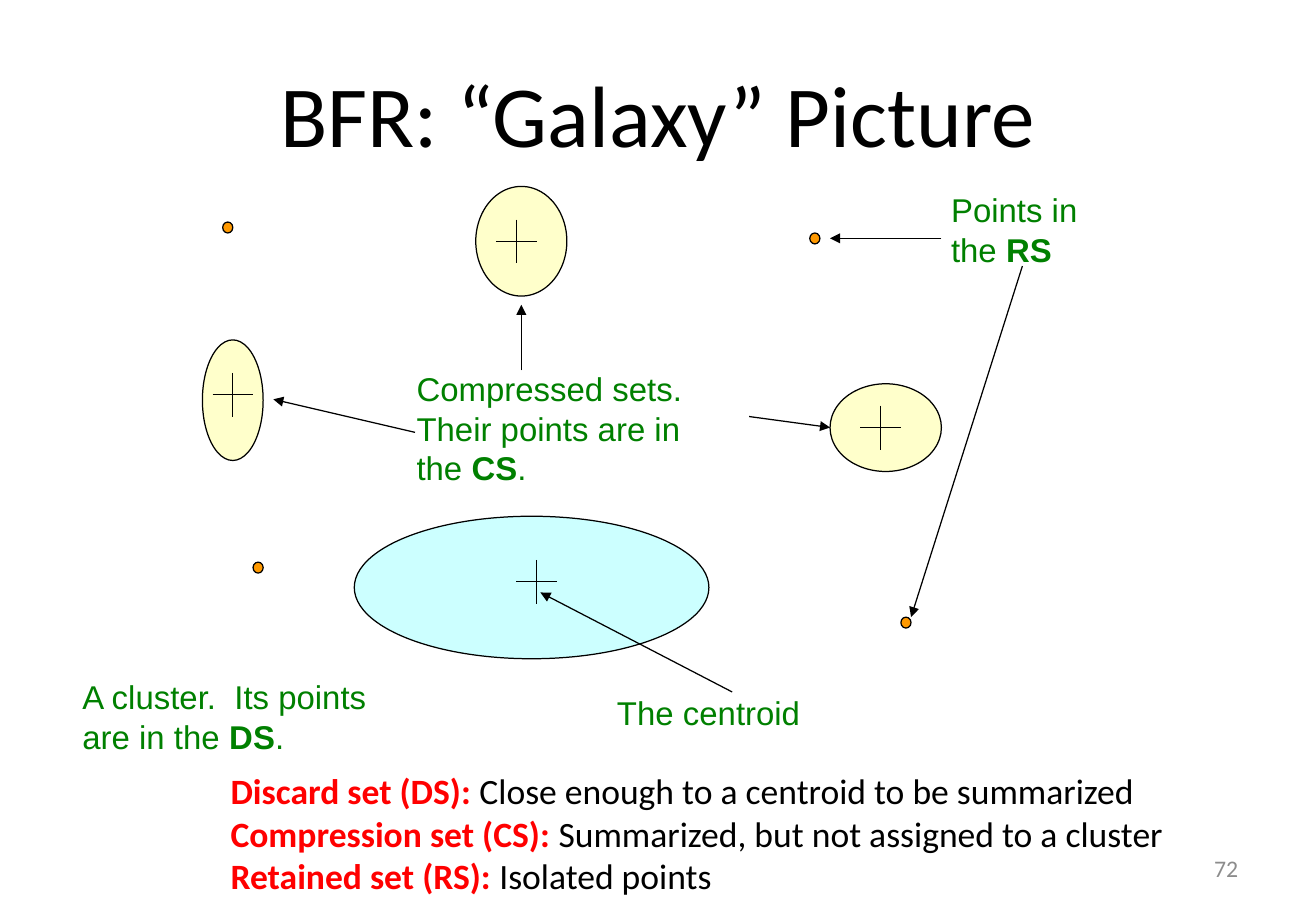
from lxml.etree import SubElement
from pptx import Presentation
from pptx.dml.color import RGBColor
from pptx.enum.shapes import MSO_CONNECTOR, MSO_SHAPE
from pptx.enum.text import MSO_ANCHOR, PP_ALIGN
from pptx.oxml.ns import qn
from pptx.util import Pt

# Content: lines of (text, style) runs; places are in points
TITLE = [[("BFR: “Galaxy” Picture", "title")]]
NUMBER = [[("72", "number")]]
DEFINITIONS = [
    [("Discard set (DS): ", "term"), ("Close enough to a centroid to be summarized", "body")],
    [("Compression set (CS): ", "term"), ("Summarized, but not assigned to a cluster", "body")],
    [("Retained set (RS): ", "term"), ("Isolated points", "body")],
]
LABELS = [  # left, top, width, lines
    (41.8, 397.4, 184.3, [[("A cluster.  Its points", "label")],
                          [("are in the ", "label"), ("DS", "set"), (".", "label")]]),
    (358.6, 406.8, 123.8, [[("The centroid", "label")]]),
    (239.8, 214.6, 173.5, [[("Compressed sets.", "label")], [("Their points are in", "label")],
                           [("the ", "label"), ("CS", "set"), (".", "label")]]),
    (556.6, 108.7, 90, [[("Points in", "label")], [("the ", "label"), ("RS", "set")]]),
]
CLUSTERS = [  # left, top, width, height, fill, cross centre
    (210, 306, 210.2, 84.5, "discard", (318, 344.9)),
    (120, 201.5, 36, 71.5, "compressed", (138, 234)),
    (492, 227.5, 66, 52, "compressed", (522, 253.5)),
    (282, 110.5, 54, 65, "compressed", (306, 143.2)),
]
RETAINED = [(132, 131.6), (150, 333.2), (534, 365.8), (480, 138.1)]
ARROWS = [  # from, to
    ((434, 410.2), (320.3, 351.2)),
    ((246, 256.3), (162, 236.7)),
    ((309, 219.6), (309, 180.7)),
    ((444, 246.9), (492, 253.4)),
    ((558, 141.3), (492, 141.3)),
    ((606, 157.7), (540, 365.8)),
]

# Theme
THEME = {
    "line": "000000", "line_width": 0.75,
    "fills": {"discard": ("CCFFFF", 100), "compressed": ("FFFF99", 50), "retained": ("FF9900", 100)},
    "text": {  # font, size, colour, bold
        "title": ("Calibri", 51.6, "000000", False),
        "number": ("Calibri", 14.1, "8C8C8C", False),
        "term": ("Calibri", 21.1, "FF0000", True),
        "body": ("Calibri", 21.1, "000000", False),
        "label": ("Arial", 19.5, "008000", False),
        "set": ("Arial", 19.5, "008000", True),
    },
}
LABEL_PITCH, LABEL_PAD = 23.6, 7.2
CROSS_W, CROSS_H = 24, 26
DOT_W, DOT_H = 6, 6.5


def add_text(s, box, lines, wrap=True, anchor=MSO_ANCHOR.TOP, **para_format):
    tf = s.shapes.add_textbox(*map(Pt, box)).text_frame
    tf.word_wrap, tf.vertical_anchor = wrap, anchor
    for i, runs in enumerate(lines):
        p = tf.paragraphs[0] if i == 0 else tf.add_paragraph()
        for key, value in para_format.items():
            setattr(p, key, value)
        for text, style in runs:
            r = p.add_run()
            r.text = text
            name, size, color, bold = THEME["text"][style]
            for key, value in {"name": name, "size": Pt(size), "bold": bold}.items():
                setattr(r.font, key, value)
            r.font.color.rgb = RGBColor.from_string(color)


def set_line(shape):
    shape.line.color.rgb = RGBColor.from_string(THEME["line"])
    shape.line.width = Pt(THEME["line_width"])


def add_ellipse(s, box, kind):
    sp = s.shapes.add_shape(MSO_SHAPE.OVAL, *map(Pt, box))
    sp.shadow.inherit = False
    color, opacity = THEME["fills"][kind]
    sp.fill.solid()
    sp.fill.fore_color.rgb = RGBColor.from_string(color)
    if opacity < 100:
        clr = sp.element.spPr.find(qn("a:solidFill"))[0]
        SubElement(clr, qn("a:alpha"), val=str(opacity * 1000))
    set_line(sp)


def add_line(s, start, end, arrow=False):
    c = s.shapes.add_connector(MSO_CONNECTOR.STRAIGHT, *map(Pt, start + end))
    set_line(c)
    spPr = c.element.spPr
    if arrow:
        SubElement(spPr.find(qn("a:ln")), qn("a:tailEnd"), type="triangle")
    SubElement(spPr, qn("a:effectLst"))


def main():
    prs = Presentation()
    prs.slide_width, prs.slide_height = Pt(780), Pt(540)
    s = prs.slides.add_slide(prs.slide_layouts[6])

    # Title, page number and definitions
    middle = MSO_ANCHOR.MIDDLE
    add_text(s, (39, 21.6, 702, 90), TITLE, anchor=middle, alignment=PP_ALIGN.CENTER)
    add_text(s, (558.7, 500.4, 182.2, 28.8), NUMBER, anchor=middle, alignment=PP_ALIGN.RIGHT)
    add_text(s, (129.6, 452.2, 581, 84.2), DEFINITIONS)

    # Clusters with their centroid crosses
    for *box, kind, (x, y) in CLUSTERS:
        add_ellipse(s, box, kind)
        add_line(s, (x, y - CROSS_H / 2), (x, y + CROSS_H / 2))
        add_line(s, (x - CROSS_W / 2, y), (x + CROSS_W / 2, y))

    # Retained points
    for x, y in RETAINED:
        add_ellipse(s, (x, y, DOT_W, DOT_H), "retained")

    # Labels and arrows
    for left, top, width, lines in LABELS:
        height = len(lines) * LABEL_PITCH + LABEL_PAD
        add_text(s, (left, top, width, height), lines, wrap=False, line_spacing=Pt(LABEL_PITCH))
    for start, end in ARROWS:
        add_line(s, start, end, arrow=True)

    prs.save("out.pptx")


if __name__ == "__main__":
    main()
